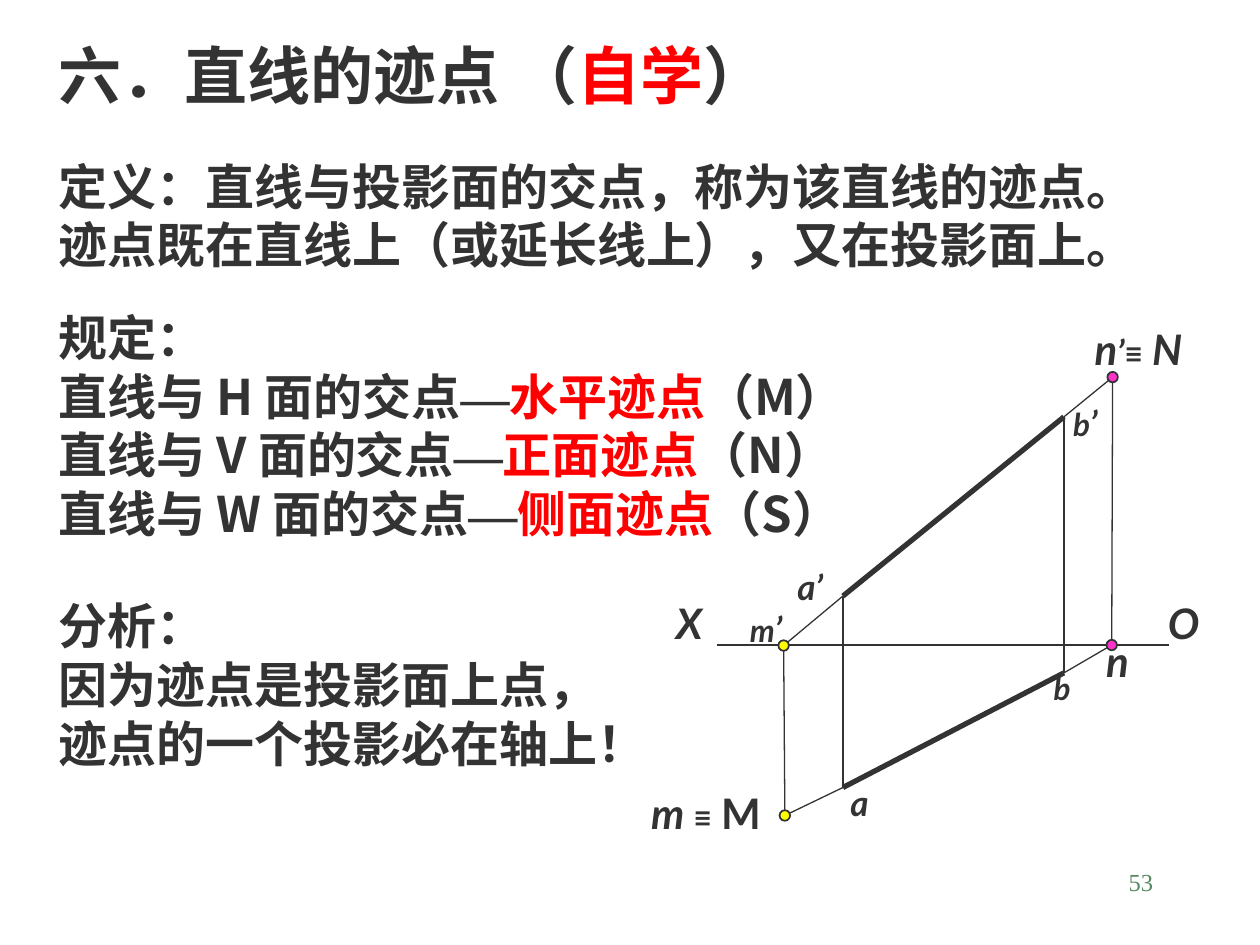
from dataclasses import dataclass
from lxml.etree import SubElement
from pptx import Presentation
from pptx.dml.color import RGBColor as RGB
from pptx.enum.shapes import MSO_CONNECTOR as LINK, MSO_SHAPE as FORM
from pptx.enum.text import MSO_ANCHOR as ANCHOR, PP_ALIGN as ALIGN
from pptx.oxml.ns import qn
from pptx.util import Pt


@dataclass(frozen=True)
class Theme:
    ink: RGB = RGB(0x33, 0x33, 0x33)
    accent: RGB = RGB(0xFF, 0x00, 0x00)
    page: RGB = RGB(0x57, 0x89, 0x63)
    yellow: RGB = RGB(0xFF, 0xFF, 0x00)
    pink: RGB = RGB(0xFF, 0x33, 0xCC)
    chinese: str = "Noto Sans CJK SC"
    latin: str = "Lato"
    serif: str = "Times New Roman"
    title: int = 36
    body: int = 28
    large: int = 24
    medium: int = 20
    small: int = 18
    number: int = 14


THEME = Theme()

# Projections of the line and its traces, in points
POINTS = {
    "a'": (481.7, 340.6), "b'": (608, 238.2),
    "m'": (447.8, 368.9), "n'": (635.8, 215.5),
    "a": (481.7, 450), "b": (608, 384.5),
    "m": (448.5, 466), "n": (635.3, 368.6),
}


def set_typeface(font, typeface):
    """Use one typeface for Latin and East Asian characters."""
    font.name = typeface
    SubElement(font._element.find(qn("a:latin")).getparent()
               if hasattr(font, "_element") else font._rPr,
               qn("a:ea"), typeface=typeface)


def add_box(slide, left, top, width, height, wrap=True):
    frame = slide.shapes.add_textbox(Pt(left), Pt(top), Pt(width), Pt(height)).text_frame
    frame.word_wrap = wrap
    frame.vertical_anchor = ANCHOR.MIDDLE
    return frame


def style(paragraph, typeface, color, size=None, bold=True):
    font = paragraph.font
    font.bold = bold
    font.color.rgb = color
    if size:
        font.size = Pt(size)
    set_typeface(font, typeface)


def add_block(slide, top, height, size, lines):
    """Chinese text; each line is a list of plain, red or dash pieces."""
    frame = add_box(slide, 26.6, top, 693.4, height)
    # Tight lines sit high, so the insets move them down a tenth of the size
    frame.margin_top = Pt(3.6 + size / 10)
    frame.margin_bottom = Pt(3.6 - size / 10)
    for index, pieces in enumerate(lines):
        paragraph = frame.add_paragraph() if index else frame.paragraphs[0]
        paragraph.line_spacing = Pt(1.2 * size)
        style(paragraph, THEME.chinese, THEME.ink, size)
        for text, kind in pieces:
            run = paragraph.add_run()
            run.text = text
            if kind == "red":
                run.font.color.rgb = THEME.accent
            elif kind == "dash":
                set_typeface(run.font, THEME.serif)


def add_label(slide, left, top, width, height, pieces, align=ALIGN.LEFT, wrap=True):
    """Point label; each piece is text, size and italic."""
    paragraph = add_box(slide, left, top, width, height, wrap).paragraphs[0]
    paragraph.alignment = align
    style(paragraph, THEME.latin, THEME.ink)
    for text, size, italic in pieces:
        run = paragraph.add_run()
        run.text = text
        run.font.size = Pt(size)
        run.font.italic = italic


def add_line(slide, start, end, weight=0.75):
    line = slide.shapes.add_connector(LINK.STRAIGHT, *map(Pt, (*start, *end)))
    line.line.color.rgb = THEME.ink
    line.line.width = Pt(weight)
    SubElement(line._element.spPr, qn("a:effectLst"))


def add_dot(slide, center, color, size=6):
    x, y = center
    dot = slide.shapes.add_shape(FORM.FLOWCHART_CONNECTOR, Pt(x - size / 2),
                                 Pt(y - size / 2), Pt(size), Pt(size))
    dot.shadow.inherit = False
    dot.fill.solid()
    dot.fill.fore_color.rgb = color
    dot.line.color.rgb = THEME.ink
    dot.line.width = Pt(1)


def add_diagram(slide):
    # Axis, projection lines and extensions, then the segment itself
    add_line(slide, (409.7, 368.6), (668.2, 368.6))
    for start, end in (("a'", "m'"), ("m'", "m"), ("a", "m"), ("b", "n"),
                       ("n", "n'"), ("b'", "n'"), ("a'", "a"), ("b'", "b")):
        add_line(slide, POINTS[start], POINTS[end])
    for start, end in (("b", "a"), ("a'", "b'")):
        add_line(slide, POINTS[start], POINTS[end], 3)

    # Traces
    for name, color in (("m'", THEME.yellow), ("m", THEME.yellow),
                        ("n", THEME.pink), ("n'", THEME.pink)):
        add_dot(slide, POINTS[name], color)

    # Labels
    large, medium, small = THEME.large, THEME.medium, THEME.small
    center = ALIGN.CENTER
    add_label(slide, 377.3, 337.7, 38.2, 36, [("X ", large, True)], center, False)
    add_label(slide, 658.1, 337.7, 36.7, 36, [("O ", large, True)], center, False)
    add_label(slide, 414.7, 343.4, 46.1, 31,
              [("m", small, True), ("’", medium, True)], center)
    add_label(slide, 365, 446.4, 355, 36,
              [("m ", large, True), ("≡", small, False),
               (" ", large, True), ("M", large, False)])
    add_label(slide, 625, 359.3, 25.9, 36, [("n", large, True)], center, False)
    add_label(slide, 598.3, 181.4, 104.4, 36,
              [("n", large, True), ("’", medium, True),
               ("≡", small, False), (" N", large, True)], center)
    add_label(slide, 448.6, 319.7, 51.8, 31, [("a’", medium, True)])
    add_label(slide, 606.2, 226.1, 56.2, 31,
              [("b", small, True), ("’", medium, True)])
    add_label(slide, 478.8, 442.8, 23.8, 31, [("a", medium, True)], center, False)
    add_label(slide, 595, 378.7, 43, 28.8, [("b", small, True)])


def add_page_number(slide):
    frame = add_box(slide, 516.2, 491.8, 149.8, 36)
    frame.vertical_anchor = ANCHOR.TOP
    number = frame.paragraphs[0]
    number.text = "53"
    number.alignment = ALIGN.RIGHT
    style(number, THEME.serif, THEME.page, THEME.number, bold=False)


def main():
    deck = Presentation()
    deck.slide_width, deck.slide_height = Pt(720), Pt(540)
    slide = deck.slides.add_slide(deck.slide_layouts[6])

    # Title
    add_block(slide, 13.7, 50.4, THEME.title,
              [[("六．直线的迹点 （", ""), ("自学", "red"), ("）", "")]])

    # Definition, naming rules and analysis
    add_block(slide, 82.8, 74.4, THEME.body,
              [[("定义：直线与投影面的交点，称为该直线的迹点。", "")],
               [("迹点既在直线上（或延长线上），又在投影面上。", "")]])
    traces = (("H", "水平迹点", "M"), ("V", "正面迹点", "N"), ("W", "侧面迹点", "S"))
    add_block(slide, 169.2, 141.6, THEME.body,
              [[("规定：", "")]] +
              [[(f"直线与 {plane} 面的交点", ""), ("—", "dash"),
                (trace, "red"), (f"（{letter}）", "")]
               for plane, trace, letter in traces])
    add_block(slide, 334.1, 108, THEME.body,
              [[("分析：", "")], [("因为迹点是投影面上点，", "")],
               [("迹点的一个投影必在轴上！", "")]])

    add_diagram(slide)
    add_page_number(slide)
    deck.save("out.pptx")


if __name__ == "__main__":
    main()
